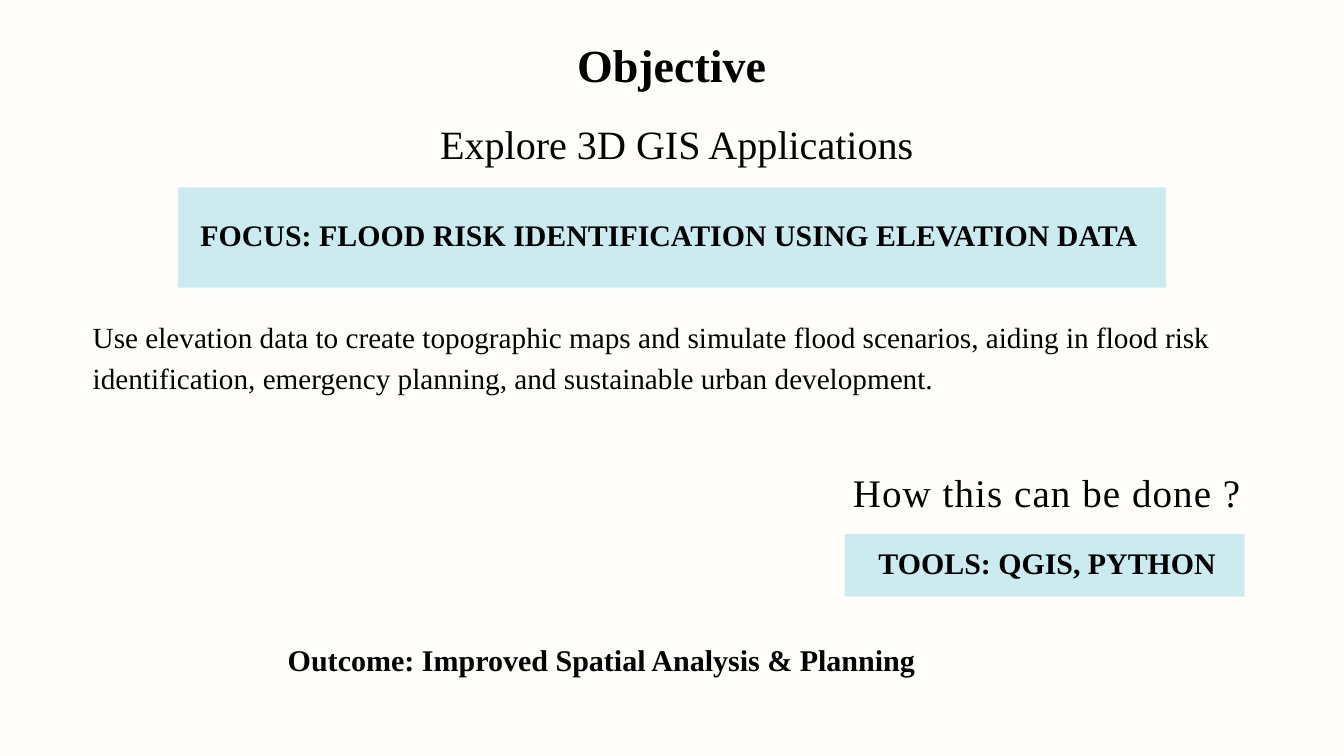
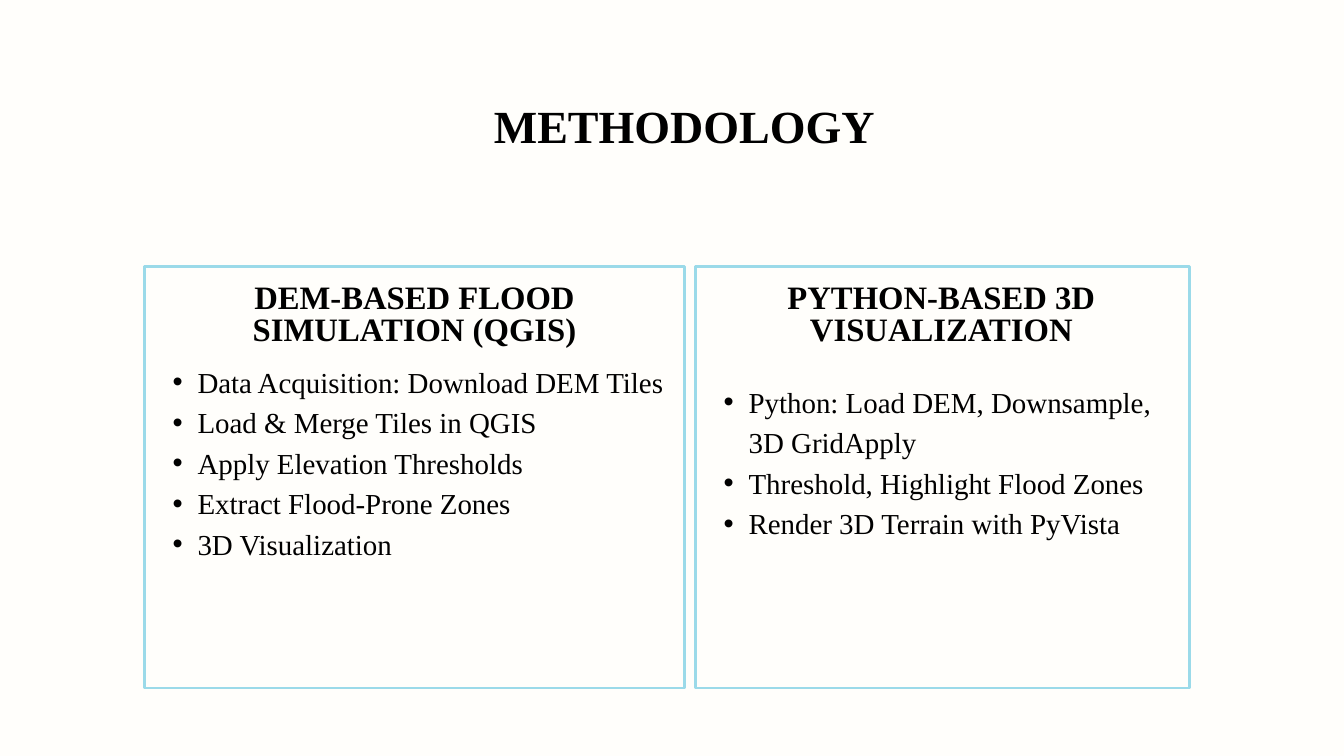
from dataclasses import dataclass

from lxml import etree
from pptx import Presentation
from pptx import util as u
from pptx.dml.color import RGBColor
from pptx.enum import shapes, text
from pptx.oxml.ns import qn

FONT = "Times New Roman"
BACKGROUND = "FFFEFB"
INK = "000000"
ACCENT = "9BDAE9"
TITLE_SIZE = 49.3
BAND_SIZE = 32
HEADING_SIZE = 35
BULLET_SIZE = 31
PANEL_TOP, PANEL_HEIGHT = 3.96, 6.28
LIST_TOP, LIST_HEIGHT = 3.44, 6.8
CENTER = text.PP_ALIGN.CENTER
LEFT = text.PP_ALIGN.LEFT


@dataclass(frozen=True)
class Box:
    left: float
    top: float
    width: float
    height: float

    def lengths(self):
        return [u.Inches(v) for v in (self.left, self.top, self.width, self.height)]


@dataclass(frozen=True)
class Label:
    words: str
    box: Box
    size: float
    line_points: float
    bold: bool = False
    align: text.PP_ALIGN = CENTER
    tracking: float = 0


@dataclass(frozen=True)
class Panel:
    left: float
    width: float
    heading: str
    heading_left: float
    heading_width: float
    steps: tuple[str, ...]


def color(hex_code: str) -> RGBColor:
    return RGBColor.from_string(hex_code)


def add_slide(presentation):
    slide = presentation.slides.add_slide(presentation.slide_layouts[6])
    fill = slide.background.fill
    fill.solid()
    fill.fore_color.rgb = color(BACKGROUND)
    return slide


def add_frame(slide, box: Box, margin: float = 0):
    frame = slide.shapes.add_textbox(*box.lengths()).text_frame
    frame.word_wrap = True
    frame.margin_left = frame.margin_right = u.Inches(margin)
    frame.margin_top = frame.margin_bottom = u.Inches(margin)
    return frame


def add_run(paragraph, words: str, size: float, bold: bool = False):
    run = paragraph.add_run()
    run.text = words
    run.font.name = FONT
    run.font.size = u.Pt(size)
    run.font.bold = bold
    run.font.color.rgb = color(INK)
    return run


def add_label(slide, label: Label) -> None:
    paragraph = add_frame(slide, label.box).paragraphs[0]
    paragraph.alignment = label.align
    paragraph.line_spacing = u.Pt(label.line_points)
    run = add_run(paragraph, label.words, label.size, label.bold)
    if label.tracking:
        run.font._element.set("spc", str(round(label.tracking * 100)))


def add_rectangle(slide, box: Box):
    rectangle = slide.shapes.add_shape(shapes.MSO_SHAPE.RECTANGLE, *box.lengths())
    rectangle.shadow.inherit = False
    return rectangle


def add_band(slide, box: Box) -> None:
    """Draw a half-transparent accent rectangle without an outline."""
    band = add_rectangle(slide, box)
    band.fill.solid()
    band.fill.fore_color.rgb = color(ACCENT)
    band.line.fill.background()
    tint = band._element.spPr.find(qn("a:solidFill"))[0]
    etree.SubElement(tint, qn("a:alpha")).set("val", "50000")


def add_bullets(slide, box: Box, items: tuple[str, ...]) -> None:
    frame = add_frame(slide, box, margin=0.06)
    frame.vertical_anchor = text.MSO_ANCHOR.MIDDLE
    for index, item in enumerate(items):
        paragraph = frame.add_paragraph() if index else frame.paragraphs[0]
        paragraph.level = 1
        properties = paragraph._p.get_or_add_pPr()
        properties.set("marL", str(u.Inches(0.73)))
        properties.set("indent", str(u.Inches(-0.37)))
        etree.SubElement(properties, qn("a:buFont")).set("typeface", "Arial")
        etree.SubElement(properties, qn("a:buChar")).set("char", "•")
        paragraph.alignment = LEFT
        paragraph.line_spacing = u.Pt(43.4)
        add_run(paragraph, item, BULLET_SIZE)


def add_panel(slide, panel: Panel) -> None:
    outline = add_rectangle(slide, Box(panel.left, PANEL_TOP, panel.width, PANEL_HEIGHT))
    outline.fill.background()
    outline.line.color.rgb = color(ACCENT)
    outline.line.width = u.Pt(3)
    add_bullets(slide, Box(panel.left, LIST_TOP, panel.width, LIST_HEIGHT), panel.steps)
    heading_box = Box(panel.heading_left, 4.21, panel.heading_width, 1.07)
    add_label(slide, Label(panel.heading, heading_box, HEADING_SIZE, 35, bold=True))


OBJECTIVE_BANDS = (Box(2.65, 2.79, 14.7, 1.49), Box(12.57, 7.95, 5.95, 0.93))

OBJECTIVE_LABELS = (
    Label("Use elevation data to create topographic maps and simulate flood scenarios, "
          "aiding in flood risk identification, emergency planning, and sustainable "
          "urban development.", Box(1.38, 4.66, 17.23, 1.26), 31.3, 43.8, align=LEFT),
    Label("FOCUS: FLOOD RISK IDENTIFICATION USING ELEVATION DATA",
          Box(2.65, 3.13, 14.62, 0.66), BAND_SIZE, 44.8, bold=True),
    Label("TOOLS: QGIS, PYTHON", Box(12.57, 8.02, 6.03, 0.66), BAND_SIZE, 44.8, bold=True),
    Label("Objective", Box(7.79, 0.4, 4.41, 1.04), TITLE_SIZE, 69, bold=True),
    Label("Explore 3D GIS Applications", Box(4.71, 1.66, 10.72, 0.9), 43, 60.2),
    Label("Outcome: Improved Spatial Analysis & Planning",
          Box(2.73, 9.45, 12.44, 0.67), 32.2, 45, bold=True),
    Label("How this can be done ?", Box(12.54, 6.79, 6.08, 0.92), 41.8, 62.7, tracking=1.2),
)

METHOD_TITLE = Label("METHODOLOGY", Box(6.89, 1.45, 6.59, 0.93), TITLE_SIZE, 59.2, bold=True)

METHOD_PANELS = (
    Panel(2.15, 8.04, "DEM-BASED FLOOD SIMULATION (QGIS)", 3.4, 5.54, (
        "Data Acquisition: Download DEM Tiles",
        "Load & Merge Tiles in QGIS",
        "Apply Elevation Thresholds",
        "Extract Flood-Prone Zones",
        "3D Visualization",
    )),
    Panel(10.35, 7.35, "PYTHON-BASED 3D VISUALIZATION", 10.91, 6.2, (
        "Python: Load DEM, Downsample, 3D GridApply",
        "Threshold, Highlight Flood Zones",
        "Render 3D Terrain with PyVista",
    )),
)


def build_objective(presentation) -> None:
    slide = add_slide(presentation)
    for band in OBJECTIVE_BANDS:
        add_band(slide, band)
    for label in OBJECTIVE_LABELS:
        add_label(slide, label)


def build_methodology(presentation) -> None:
    slide = add_slide(presentation)
    for panel in METHOD_PANELS:
        add_panel(slide, panel)
    add_label(slide, METHOD_TITLE)


def main() -> None:
    presentation = Presentation()
    presentation.slide_width = u.Inches(20)
    presentation.slide_height = u.Inches(11.25)
    build_objective(presentation)
    build_methodology(presentation)
    presentation.save("out.pptx")


if __name__ == "__main__":
    main()
